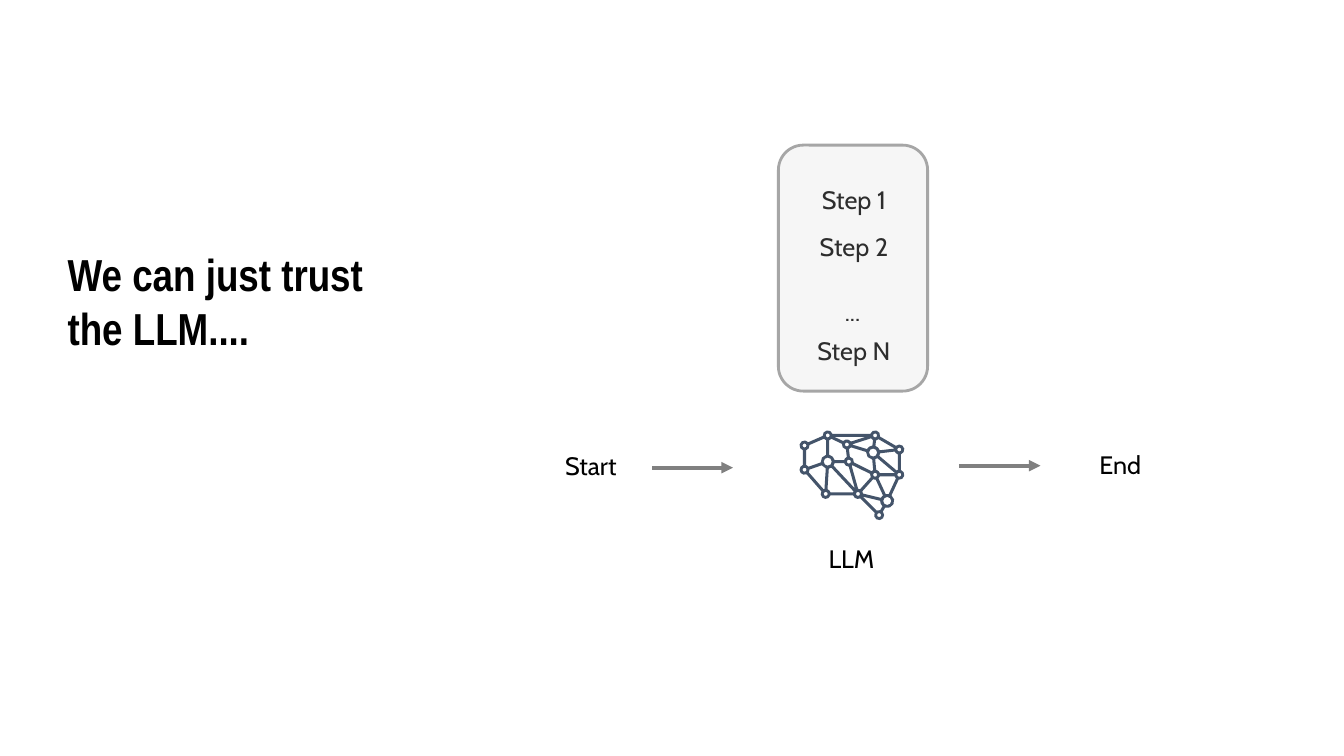
from dataclasses import dataclass
from math import asin, atan2, ceil, cos, pi, sin, tau

from lxml.etree import SubElement
from pptx import Presentation
from pptx.dml.color import RGBColor
from pptx.enum.shapes import MSO_CONNECTOR as Connector, MSO_SHAPE as Shape
from pptx.enum.text import MSO_ANCHOR as Anchor, MSO_AUTO_SIZE as AutoSize, PP_ALIGN as Align
from pptx.oxml.ns import qn
from pptx.util import Inches, Pt


@dataclass(frozen=True)
class Theme:
    title_font: str = "Arial Narrow"
    body_font: str = "Cabin"
    title_size: int = 32
    body_size: int = 18
    ink: str = "000000"
    arrow: str = "808080"
    panel: str = "D9D9D9"
    panel_line: str = "A6A6A6"
    network: str = "44546A"


# Brain-shaped network: node centres, the faces between links (clockwise), the rim
NODES = {
    "A": (7.98, 4.42), "B": (8.21, 4.32), "C": (8.68, 4.32), "D": (8.4, 4.41),
    "E": (8.66, 4.49), "F": (8.92, 4.46), "G": (7.98, 4.66), "H": (8.21, 4.58),
    "I": (8.42, 4.58), "J": (8.68, 4.71), "K": (8.92, 4.71), "L": (8.19, 4.9),
    "M": (8.51, 4.9), "N": (8.8, 4.97), "O": (8.72, 5.11),
}
FACES = "MNO MJN JKN HML IJM GHL HIM EKJ EFK DEJI DCE CFE ABHG BDIH BCD".split()
RIM = "AGLMONKFCB"
HUBS = "EHN"
HALF_LINK = 0.015
RING = 0.03


def hole_radius(name):
    return 0.04 if name in HUBS else 0.02


def polar(name, radius, angle):
    x, y = NODES[name]
    return x + radius * cos(angle), y + radius * sin(angle)


def heading(a, b):
    (ax, ay), (bx, by) = NODES[a], NODES[b]
    return atan2(by - ay, bx - ax)


def contour(cycle):
    """Outline of the area beside a cycle of links, cut by the node rings."""
    points = []
    for i, name in enumerate(cycle):
        to_prev = heading(name, cycle[i - 1])
        to_next = heading(name, cycle[(i + 1) % len(cycle)])
        sweep = (to_prev - to_next) % tau
        radius = hole_radius(name) + RING
        trim = asin(HALF_LINK / radius)
        arc = sweep - 2 * trim
        if arc <= 0:
            points.append(polar(name, HALF_LINK / sin(sweep / 2), to_prev - sweep / 2))
            continue
        steps = ceil(arc / (pi / 4))
        points += [polar(name, radius, to_prev - trim - arc * k / steps)
                   for k in range(steps + 1)]
    return points


def hole(name):
    return [polar(name, hole_radius(name), k * pi / 4) for k in range(8)]


def write(tf, text, *, font, size, color, bold=False, align=Align.LEFT):
    """Fill a text frame with one formatted paragraph."""
    p = tf.paragraphs[0]
    p.alignment = align
    p.line_spacing = 1.0
    r = p.add_run()
    r.text = text
    r.font.name, r.font.size, r.font.bold = font, Pt(size), bold
    r.font.color.rgb = RGBColor.from_string(color)


class SlideBuilder:
    def __init__(self, slide, theme):
        self.slide, self.theme = slide, theme

    def title(self, text, x, y, w, h):
        t, sp = self.theme, self.slide.shapes.title
        sp.left, sp.top, sp.width, sp.height = map(Inches, (x, y, w, h))
        tf = sp.text_frame
        tf.word_wrap, tf.auto_size = True, AutoSize.NONE
        tf.vertical_anchor = Anchor.MIDDLE
        write(tf, text, font=t.title_font, size=t.title_size, color=t.ink, bold=True)

    def label(self, text, x, y, w=1.04, align=Align.CENTER, wrap=True):
        t = self.theme
        sp = self.slide.shapes.add_textbox(*map(Inches, (x, y, w, 0.4)))
        sp.text_frame.word_wrap = wrap
        write(sp.text_frame, text, font=t.body_font, size=t.body_size,
              color=t.ink, align=align)

    def fill(self, sp, color):
        sp.shadow.inherit = False
        sp.fill.solid()
        sp.fill.fore_color.rgb = RGBColor.from_string(color)

    def panel(self, x, y, w, h, alpha):
        sp = self.slide.shapes.add_shape(Shape.ROUNDED_RECTANGLE,
                                         *map(Inches, (x, y, w, h)))
        self.fill(sp, self.theme.panel)
        clr = sp._element.spPr.find(qn("a:solidFill"))[0]
        SubElement(clr, qn("a:alpha"), val=str(alpha * 1000))
        sp.line.color.rgb = RGBColor.from_string(self.theme.panel_line)
        sp.line.width = Pt(2)

    def arrow(self, x, y, length):
        s = self.slide.shapes.add_connector(
            Connector.STRAIGHT, *map(Inches, (x, y, x + length, y)))
        s.line.color.rgb = RGBColor.from_string(self.theme.arrow)
        s.line.width = Pt(2.75)
        SubElement(s._element.spPr.find(qn("a:ln")), qn("a:tailEnd"), type="triangle")
        SubElement(s._element.spPr, qn("a:effectLst"))

    def network(self):
        outlines = [contour(c) for c in (RIM, *FACES)] + [hole(n) for n in NODES]
        outlines = [[(Inches(x), Inches(y)) for x, y in pts] for pts in outlines]
        builder = self.slide.shapes.build_freeform(*outlines[0][0])
        for i, (start, *rest) in enumerate(outlines):
            if i:
                builder.move_to(*start)
            builder.add_line_segments(rest, close=True)
        sp = builder.convert_to_shape()
        self.fill(sp, self.theme.network)
        sp.line.fill.background()


def main():
    prs = Presentation()
    prs.slide_width, prs.slide_height = Inches(13.33), Inches(7.5)
    b = SlideBuilder(prs.slides.add_slide(prs.slide_layouts[5]), Theme())

    b.title("We can just trust the LLM....", 0.57, 2.1, 3.5, 1.77)

    # Flow from start to end
    b.label("Start", 5.34, 4.42)
    b.label("End", 10.59, 4.41)
    b.arrow(6.47, 4.64, 0.8)
    b.arrow(9.51, 4.62, 0.81)

    # Model
    b.network()
    b.label("LLM", 8.12, 5.34, w=0.66, align=Align.LEFT, wrap=False)

    # Steps, under a translucent panel
    for text, y in (("Step 1", 1.78), ("Step 2", 2.25), ("Step N", 3.28)):
        b.label(text, 7.95, y)
    b.label("...", 8.28, 2.89, w=0.39, align=Align.LEFT, wrap=False)
    b.panel(7.72, 1.44, 1.48, 2.44, alpha=21)

    prs.save("out.pptx")


if __name__ == "__main__":
    main()
